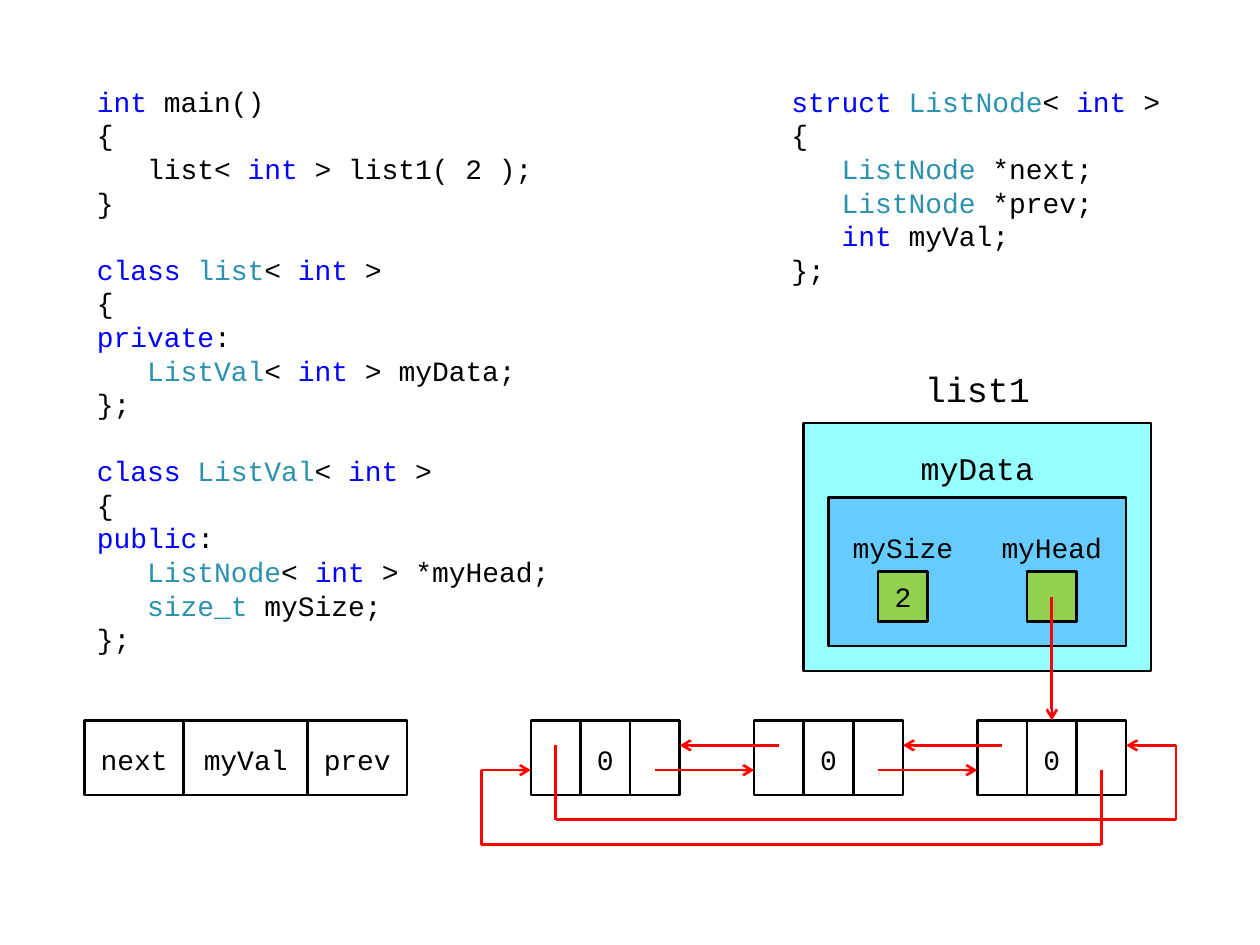
from dataclasses import dataclass
from itertools import pairwise

from lxml.etree import SubElement
from pptx import Presentation
from pptx.dml.color import RGBColor
from pptx.enum.shapes import MSO_CONNECTOR, MSO_SHAPE
from pptx.enum.text import MSO_ANCHOR, PP_ALIGN
from pptx.oxml.ns import qn
from pptx.util import Inches, Pt


@dataclass(frozen=True)
class Theme:
    font: str = "Courier New"
    ink: str = "000000"
    keyword: str = "0000FF"
    type_name: str = "2B91AF"
    pointer: str = "FF0000"
    list_fill: str = "96FFFF"
    data_fill: str = "66CCFF"
    value_fill: str = "92D050"
    body: float = 16
    heading: float = 18
    title: float = 20
    leading: float = 19.2
    stroke: float = 1.5


THEME = Theme()
CELL = 10 / 50.8
LEFT, TOP = 0.08, 0.01
KEYWORDS = {"int", "class", "struct", "private", "public"}
TYPES = {"list", "ListVal", "ListNode", "size_t"}

MAIN_CODE = [
    ["int| main()", "{", "   list< |int| > list1( 2 );", "}"],
    ["class |list|< |int| >", "{", "private|:", "   |ListVal|< |int| > myData;", "};"],
    ["class |ListVal|< |int| >", "{", "public|:", "   |ListNode|< |int| > *myHead;",
     "   |size_t |mySize;", "};"],
]
NODE_CODE = [
    ["struct |ListNode|< |int| >", "{", "   |ListNode| *next;", "   |ListNode| *prev;",
     "   |int| myVal;", "};"],
]
CODE = [((3, 3, 20, 24), MAIN_CODE), ((31, 3, 16, 9), NODE_CODE)]

BOXES = [
    ((32, 17, 14, 10), THEME.list_fill, ""),
    ((33, 20, 12, 6), THEME.data_fill, ""),
    ((35, 23, 2, 2), THEME.value_fill, "2"),
    ((41, 23, 2, 2), THEME.value_fill, ""),
]
LABELS = [
    ((36, 14, 6, 3), "list1", THEME.title, (0.08, 0.04, 0.08, 0)),
    ((36, 17, 6, 3), "myData", THEME.heading, (0.08, 0.12, 0.08, 0)),
    ((33, 21, 6, 2), "mySize", THEME.body, (0.04, 0.05, 0.04, 0.05)),
    ((39, 21, 6, 2), "myHead", THEME.body, (0.04, 0.05, 0.04, 0.05)),
]
NODE_ROW, NODE_HEIGHT, NODE_STEP = 29, 3, 9
NODE_INSETS = (0.1, 0.06, 0.1, 0.04)
LEGEND = (3, [(4, "next"), (5, "myVal"), (4, "prev")])
NODE_STARTS = [21 + NODE_STEP * index for index in range(3)]
NODES = [(start, [(2, ""), (2, "0"), (2, "")]) for start in NODE_STARTS]
POINTERS = [
    [(42, 24), (42, 29)],
    [(44, 31), (44, 34), (19, 34), (19, 31), (21, 31)],
    [(22, 30), (22, 33), (47, 33), (47, 30), (45, 30)],
]
for start in NODE_STARTS[:-1]:
    POINTERS.append([(start + 5, 31), (start + NODE_STEP, 31)])
    POINTERS.append([(start + NODE_STEP + 1, 30), (start + 6, 30)])


def point(column, row):
    return Inches(LEFT + column * CELL), Inches(TOP + row * CELL)


def frame(area):
    column, row, width, height = area
    return *point(column, row), Inches(width * CELL), Inches(height * CELL)


def style_run(run, size, color):
    run.font.name = THEME.font
    run.font.size = Pt(size)
    run.font.color.rgb = RGBColor.from_string(color)


def set_insets(text_frame, insets):
    text_frame.word_wrap = True
    sides = ("margin_left", "margin_top", "margin_right", "margin_bottom")
    for side, inset in zip(sides, insets):
        setattr(text_frame, side, Inches(inset))


def write_centered(shape, text, size, insets):
    text_frame = shape.text_frame
    set_insets(text_frame, insets)
    text_frame.vertical_anchor = MSO_ANCHOR.MIDDLE
    text_frame.text = text
    paragraph = text_frame.paragraphs[0]
    paragraph.alignment = PP_ALIGN.CENTER
    for run in paragraph.runs:
        style_run(run, size, THEME.ink)


def add_box(slide, area, fill, text, insets=(0.1, 0.05, 0.1, 0.05)):
    shape = slide.shapes.add_shape(MSO_SHAPE.RECTANGLE, *frame(area))
    shape.shadow.inherit = False
    if fill:
        shape.fill.solid()
        shape.fill.fore_color.rgb = RGBColor.from_string(fill)
    else:
        shape.fill.background()
    shape.line.color.rgb = RGBColor.from_string(THEME.ink)
    shape.line.width = Pt(THEME.stroke)
    if text:
        write_centered(shape, text, THEME.body, insets)


def add_record(slide, start, fields):
    column = start
    for width, text in fields:
        add_box(slide, (column, NODE_ROW, width, NODE_HEIGHT), None, text, NODE_INSETS)
        column += width


def add_code(slide, area, blocks):
    text_frame = slide.shapes.add_textbox(*frame(area)).text_frame
    set_insets(text_frame, (0.1, 0.07, 0.1, 0.05))
    lines = [(line, block > 0 and number == 0)
             for block, block_lines in enumerate(blocks)
             for number, line in enumerate(block_lines)]
    for index, (line, starts_block) in enumerate(lines):
        paragraph = text_frame.add_paragraph() if index else text_frame.paragraphs[0]
        paragraph.line_spacing = Pt(THEME.leading)
        paragraph.space_before = Pt(THEME.leading if starts_block else 0)
        for piece in line.split("|"):
            run = paragraph.add_run()
            run.text = piece
            word = piece.strip()
            color = (THEME.keyword if word in KEYWORDS
                     else THEME.type_name if word in TYPES else THEME.ink)
            style_run(run, THEME.body, color)


def add_pointer(slide, corners):
    for begin, end in pairwise(corners):
        connector = slide.shapes.add_connector(
            MSO_CONNECTOR.STRAIGHT, *point(*begin), *point(*end))
        connector.line.color.rgb = RGBColor.from_string(THEME.pointer)
        connector.line.width = Pt(THEME.stroke)
        if end == corners[-1]:
            SubElement(connector.line._get_or_add_ln(), qn("a:tailEnd"), type="arrow")
        SubElement(connector._element.spPr, qn("a:effectLst"))


def main():
    presentation = Presentation()
    presentation.slide_width, presentation.slide_height = Inches(10), Inches(7.5)
    slide = presentation.slides.add_slide(presentation.slide_layouts[6])
    for area, blocks in CODE:
        add_code(slide, area, blocks)
    for area, fill, text in BOXES:
        add_box(slide, area, fill, text)
    for area, text, size, insets in LABELS:
        write_centered(slide.shapes.add_textbox(*frame(area)), text, size, insets)
    for start, fields in [LEGEND, *NODES]:
        add_record(slide, start, fields)
    for corners in POINTERS:
        add_pointer(slide, corners)
    presentation.save("out.pptx")


if __name__ == "__main__":
    main()
